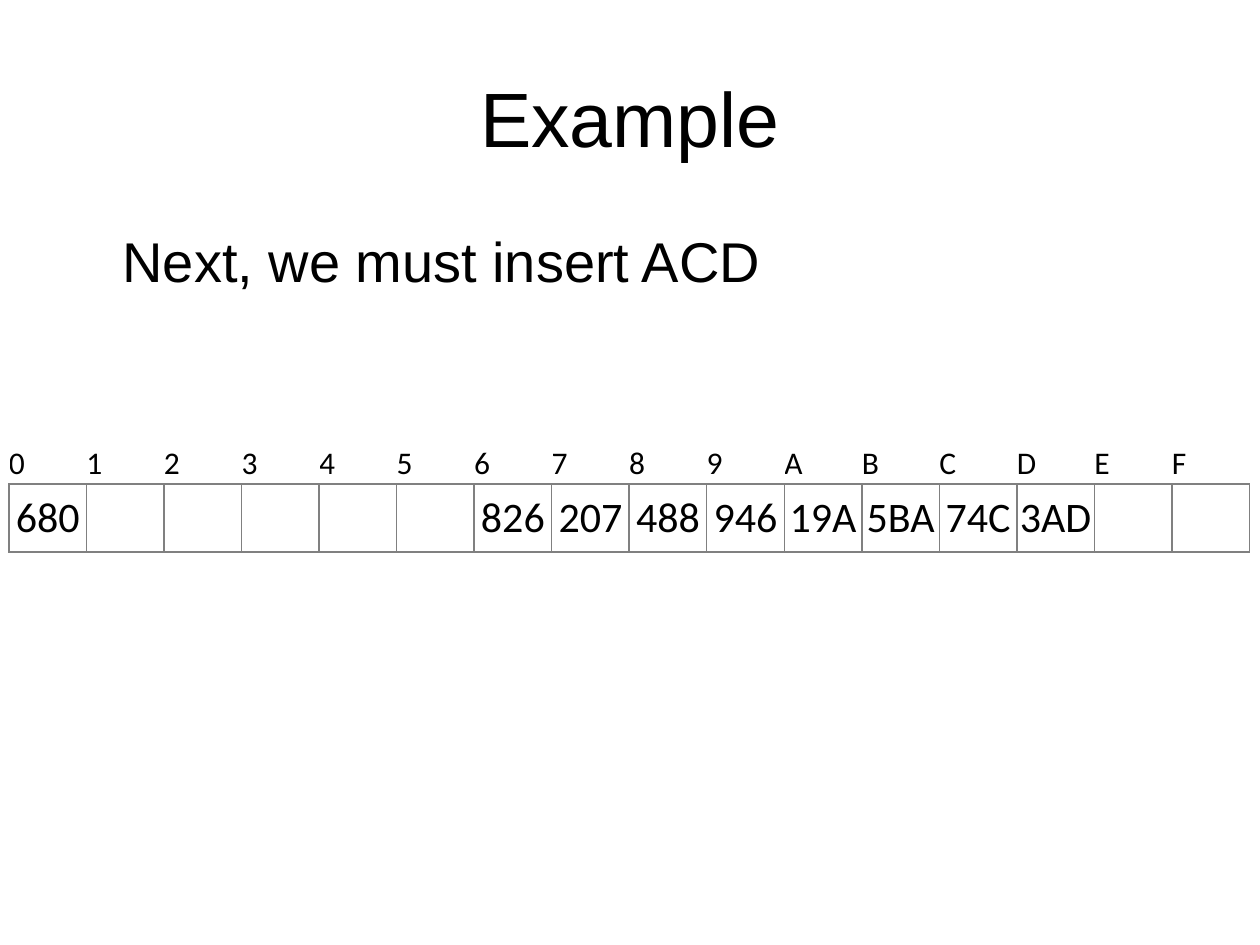
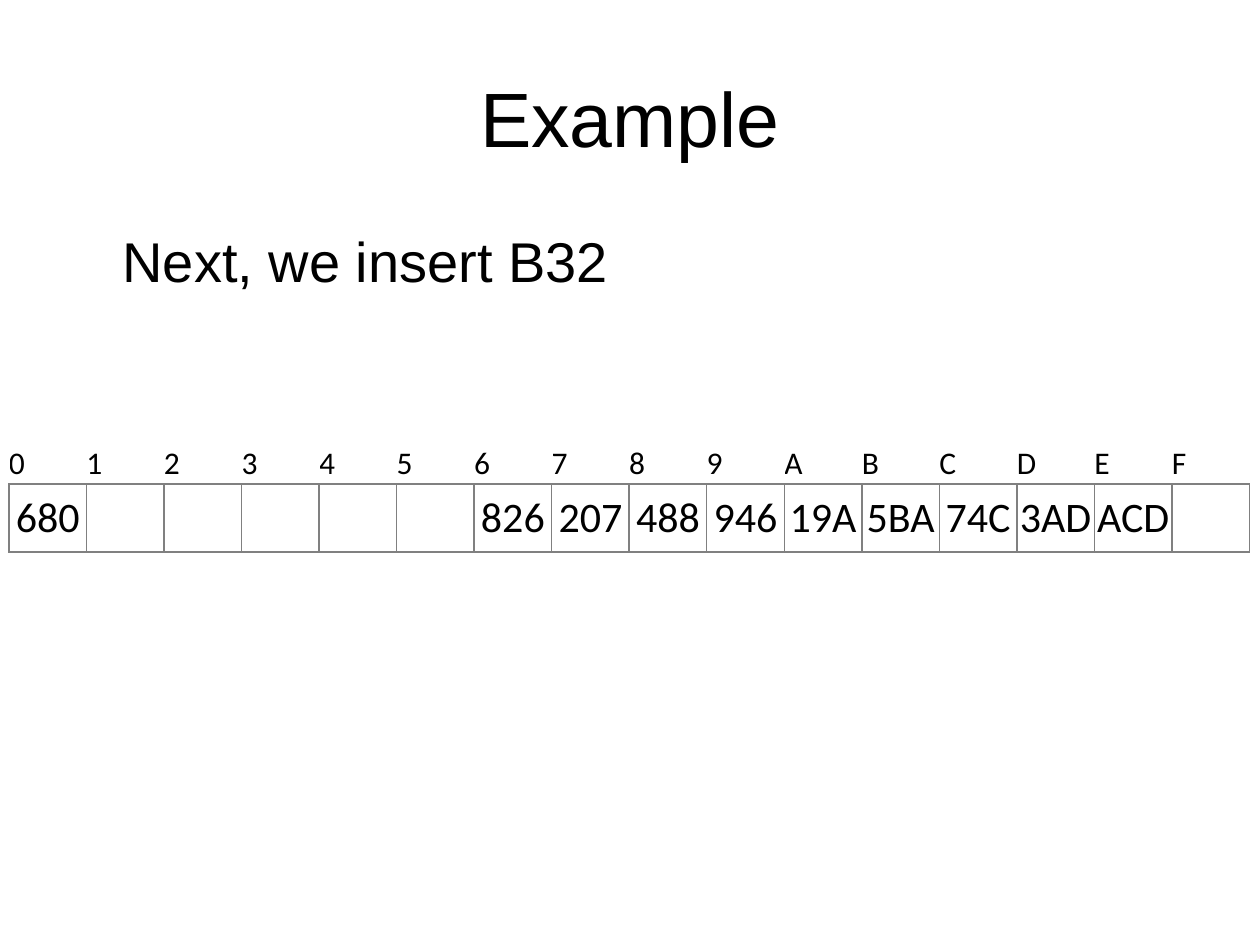
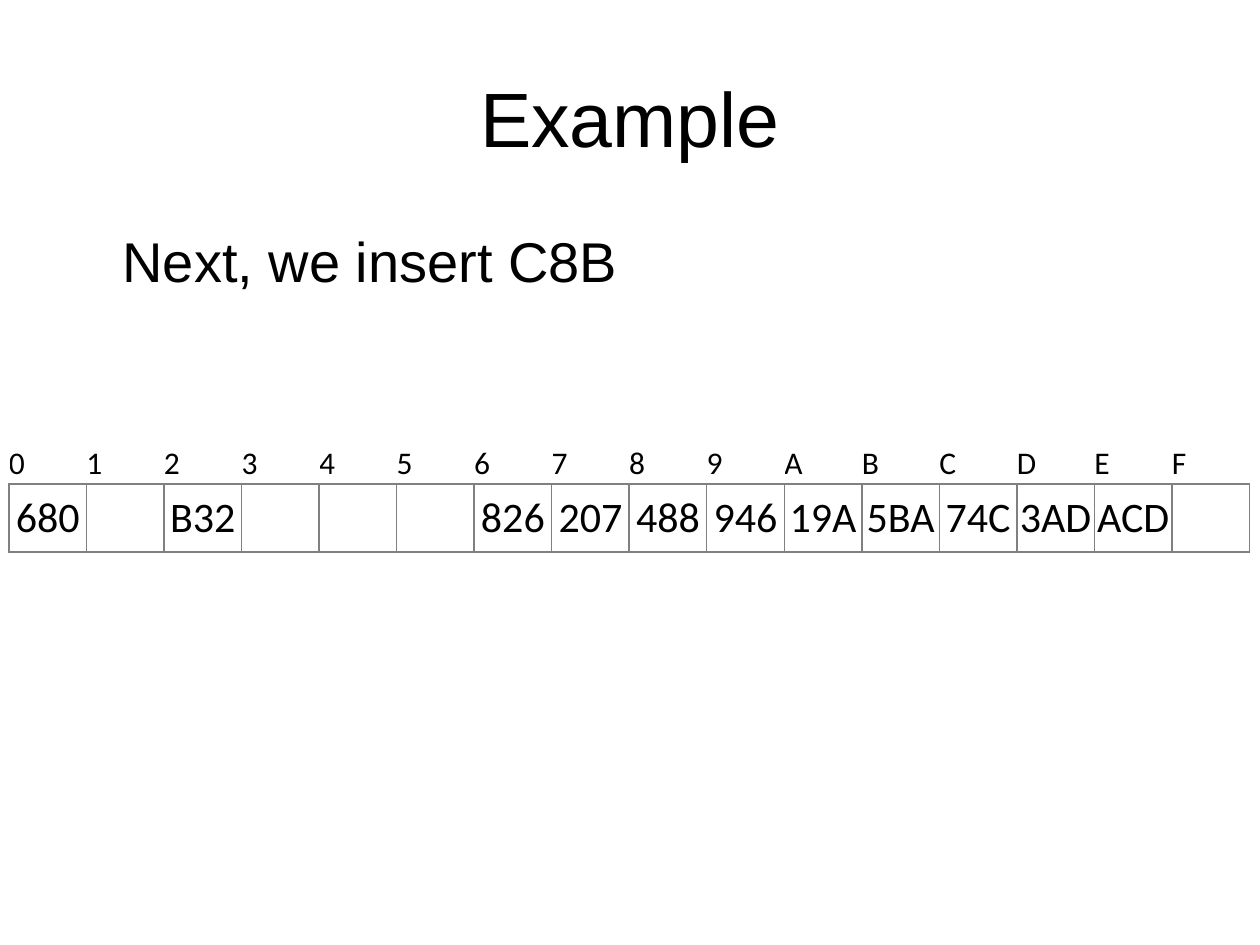
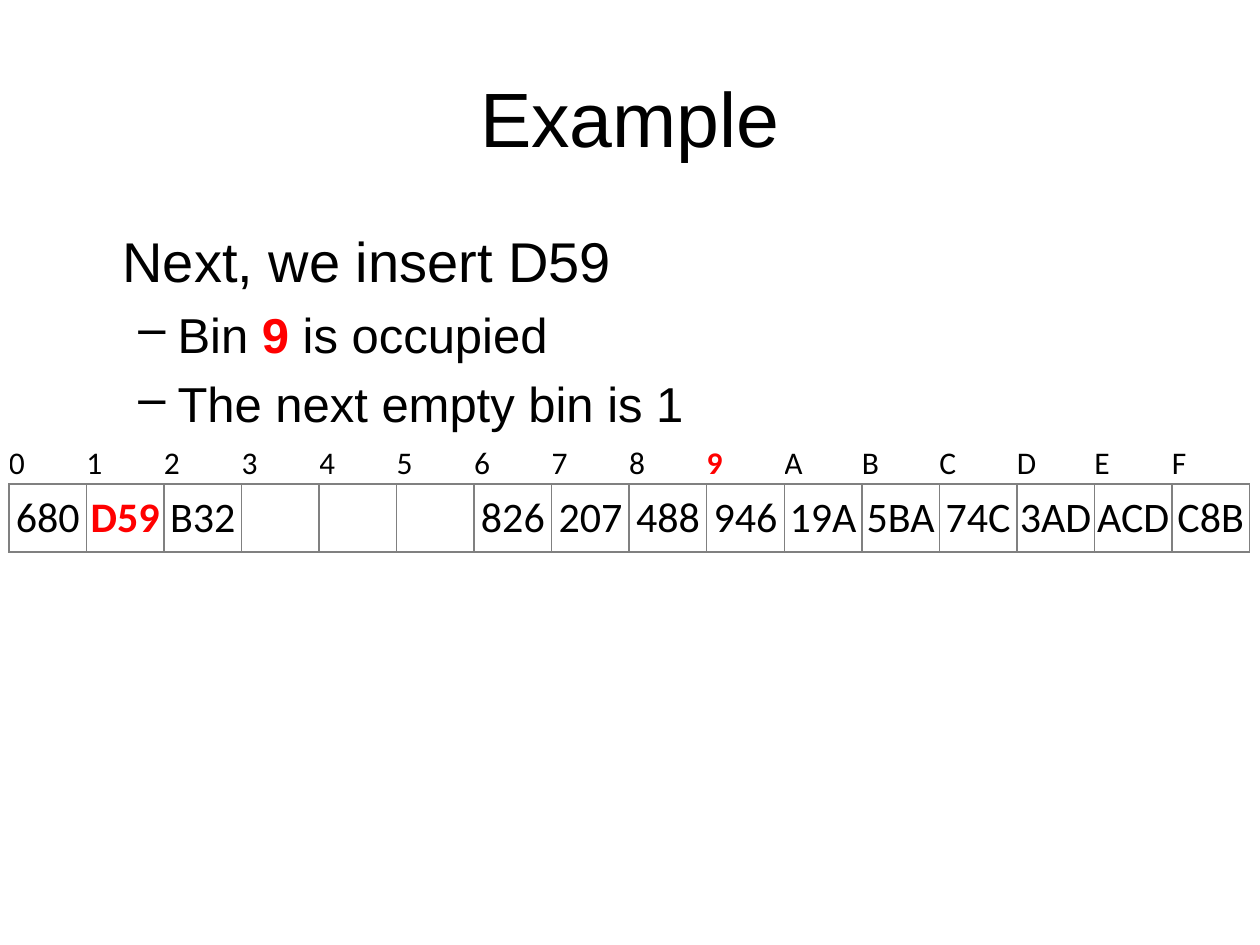
from dataclasses import dataclass

from lxml import etree
from pptx import Presentation
from pptx import util as u
from pptx.dml.color import RGBColor
from pptx.enum import text
from pptx.oxml.ns import qn

# Content: text between asterisks is emphasised
TITLE = "Example"
BINS = "0123456789ABCDEF"
START = {"0": "680", "6": "826", "7": "207", "8": "488", "9": "946",
         "A": "19A", "B": "5BA", "C": "74C", "D": "3AD"}
# Each step: (newly filled bins, statement, remarks, emphasised bin)
STEPS = [
    ({}, "Next, we must insert ACD", [], None),
    ({"E": "ACD"}, "Next, we insert B32", [], None),
    ({"2": "B32"}, "Next, we insert C8B", [], None),
    ({"F": "C8B", "1": "*D59*"}, "Next, we insert D59",
     ["Bin *9* is occupied", "The next empty bin is 1"], "9"),
]


@dataclass(frozen=True)
class Theme:
    ink: str = "000000"
    accent: str = "FF0000"
    grid: str = "808080"
    text_font: str = "Arial"
    table_font: str = "Calibri"
    title: int = 44
    statement: int = 32
    remark: int = 28
    index: int = 18
    value: int = 24
    border: int = 1


THEME = Theme()

# Layout in centimetres: left, top, width, height
TITLE_AREA = (1.27, 0.76, 22.86, 3.18)
BODY_AREA = (1.27, 4.45, 22.86, 12.57)
TABLE_AREA = (0.18, 8.92, 25.02, 2.21)
INDEX_ROW = 0.84


def write(paragraph, words, size, font=THEME.text_font, align=text.PP_ALIGN.LEFT,
          margin=0, hanging=0, bullet=None, before=0):
    """Fill a paragraph, with the parts between asterisks emphasised."""
    props = paragraph._p.get_or_add_pPr()
    props.set("marL", str(u.Cm(margin)))
    props.set("indent", str(-u.Cm(hanging)))
    if bullet:
        etree.SubElement(props, qn("a:buChar"), char=bullet)
    else:
        etree.SubElement(props, qn("a:buNone"))
    paragraph.alignment = align
    paragraph.space_before = u.Pt(before)
    paragraph.font.size = u.Pt(size)
    for i, part in enumerate(words.split("*")):
        if part:
            emphasised = i % 2 == 1
            run = paragraph.add_run()
            run.text = part
            run.font.name = font
            run.font.size = u.Pt(size)
            run.font.bold = emphasised
            run.font.color.rgb = RGBColor.from_string(
                THEME.accent if emphasised else THEME.ink)


def add_area(slide, area, anchor):
    frame = slide.shapes.add_textbox(*map(u.Cm, area)).text_frame
    frame.word_wrap = True
    frame.vertical_anchor = anchor
    return frame


def draw_borders(cell, sides):
    props = cell._tc.get_or_add_tcPr()
    for side in sides:
        line = etree.SubElement(props, qn(f"a:ln{side}"), w=str(u.Pt(THEME.border)))
        fill = etree.SubElement(line, qn("a:solidFill"))
        etree.SubElement(fill, qn("a:srgbClr"), val=THEME.grid)


def fill_cell(cell, words, sides, **style):
    cell.margin_left = cell.margin_right = cell.margin_top = cell.margin_bottom = 0
    cell.vertical_anchor = text.MSO_ANCHOR.MIDDLE
    draw_borders(cell, sides)
    cell.fill.background()
    write(cell.text_frame.paragraphs[0], words, font=THEME.table_font, **style)


def add_hash_table(slide, filled, emphasised_bin):
    left, top, width, height = TABLE_AREA
    table = slide.shapes.add_table(2, len(BINS), *map(u.Cm, TABLE_AREA)).table
    table.first_row = table.horz_banding = False
    table.rows[0].height = u.Cm(INDEX_ROW)
    table.rows[1].height = u.Cm(height - INDEX_ROW)
    for i, name in enumerate(BINS):
        table.columns[i].width = u.Cm(width / len(BINS))
        label = f"*{name}*" if name == emphasised_bin else name
        fill_cell(table.cell(0, i), label, "B", size=THEME.index)
        fill_cell(table.cell(1, i), filled.get(name, ""), "LRTB",
                  size=THEME.value, align=text.PP_ALIGN.CENTER)


def main():
    deck = Presentation()
    deck.slide_width, deck.slide_height = u.Cm(25.4), u.Cm(19.05)
    filled = dict(START)
    for added, statement, remarks, emphasised_bin in STEPS:
        filled.update(added)
        slide = deck.slides.add_slide(deck.slide_layouts[6])

        # Statement and remarks
        body = add_area(slide, BODY_AREA, text.MSO_ANCHOR.TOP)
        write(body.paragraphs[0], statement, THEME.statement, margin=0.95)
        for remark in remarks:
            write(body.add_paragraph(), remark, THEME.remark, margin=2.06,
                  hanging=0.79, bullet="–", before=6)

        # Title
        heading = add_area(slide, TITLE_AREA, text.MSO_ANCHOR.MIDDLE)
        write(heading.paragraphs[0], TITLE, THEME.title, align=text.PP_ALIGN.CENTER)

        # Bins and their values
        add_hash_table(slide, filled, emphasised_bin)
    deck.save("out.pptx")


if __name__ == "__main__":
    main()
